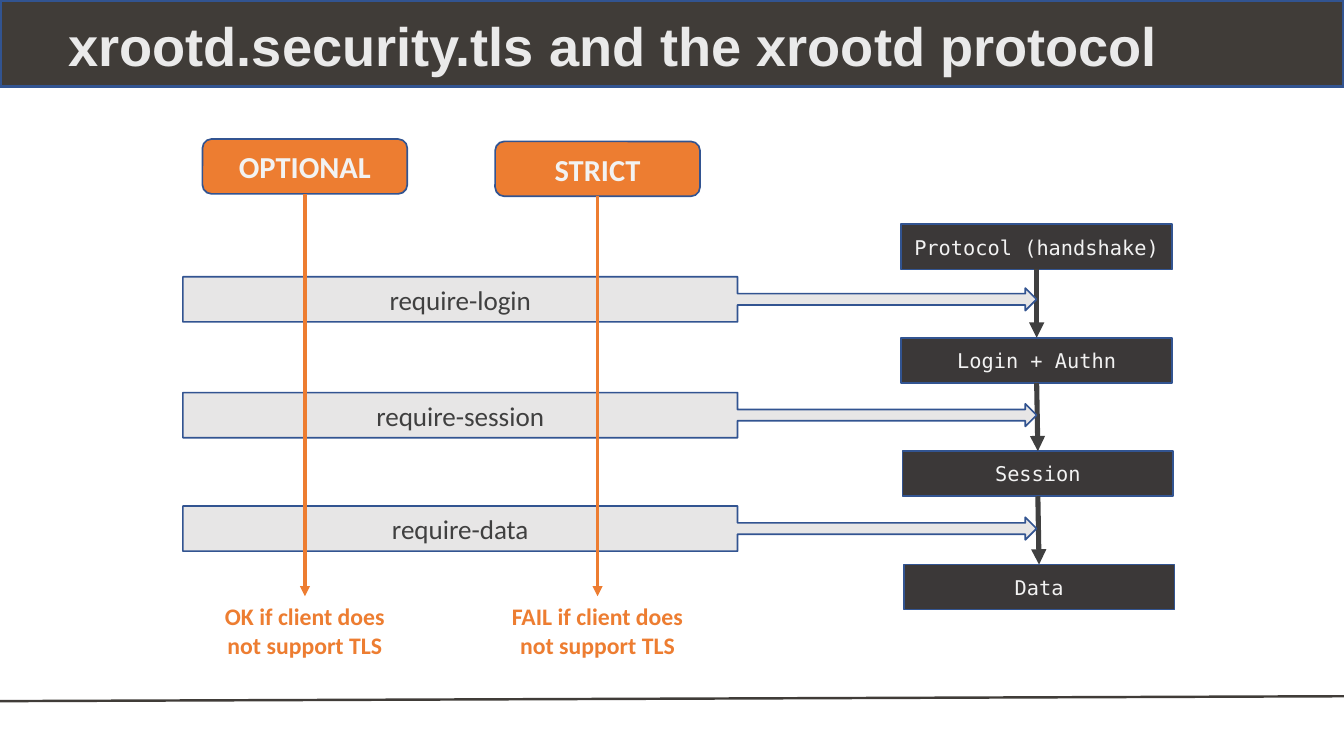
from lxml import etree
from pptx import Presentation
from pptx.dml.color import RGBColor
from pptx.enum.shapes import MSO_CONNECTOR, MSO_SHAPE
from pptx.enum.text import MSO_ANCHOR, PP_ALIGN
from pptx.oxml.ns import qn
from pptx.util import Inches, Pt

RECT = MSO_SHAPE.RECTANGLE
ROUNDED = MSO_SHAPE.ROUNDED_RECTANGLE
CALLOUT = MSO_SHAPE.RIGHT_ARROW_CALLOUT
STRAIGHT = MSO_CONNECTOR.STRAIGHT
LEFT, CENTER = PP_ALIGN.LEFT, PP_ALIGN.CENTER
TOP, MIDDLE = MSO_ANCHOR.TOP, MSO_ANCHOR.MIDDLE

HEADER = RGBColor(0x40, 0x3C, 0x38)
OUTLINE = RGBColor(0x32, 0x54, 0x91)
TITLE_TEXT = RGBColor(0xEA, 0xEA, 0xEA)
ORANGE = RGBColor(0xED, 0x7D, 0x31)
STEP_FILL = RGBColor(0x3B, 0x38, 0x38)
GRAY = RGBColor(0xE7, 0xE6, 0xE6)
DARK = RGBColor(0x40, 0x40, 0x40)
LIGHT_TEXT = RGBColor(0xF2, 0xF2, 0xF2)

TITLE = "xrootd.security.tls and the xrootd protocol"
# name, outcome lines, left, top
POLICIES = [
    ("OPTIONAL", ["OK if client does", "not support TLS"], 1.66, 1.14),
    ("STRICT", ["FAIL if client does", "not support TLS"], 4.06, 1.16),
]
# name, left
STEPS = [("Protocol (handshake)", 7.39), ("Login + Authn", 7.39),
         ("Session", 7.4), ("Data", 7.41)]
# name, top
REQUIREMENTS = [("require-login", 2.27), ("require-session", 3.22),
                ("require-data", 4.15)]

SLIDE_W, SLIDE_H = 11.02, 6.2
POLICY_W, POLICY_H = 1.68, 0.45
OUTCOME_TOP, OUTCOME_H = 4.89, 0.57
STEP_TOP, STEP_PITCH, STEP_W = 1.84, 0.93, 2.22
BAR_H = 0.37
REQUIREMENT_LEFT, REQUIREMENT_W = 1.5, 7

TITLE_FONT = {"name": "Arial", "size": Pt(32), "bold": True}
POLICY_FONT = {"name": "Calibri", "size": Pt(18), "bold": True}
OUTCOME_FONT = {"name": "Calibri", "size": Pt(14), "bold": True}
STEP_FONT = {"name": "DejaVu Sans Mono", "size": Pt(12), "bold": False}
REQUIREMENT_FONT = {"name": "Calibri", "size": Pt(16), "bold": False}

prs = Presentation()
prs.slide_width, prs.slide_height = Inches(SLIDE_W), Inches(SLIDE_H)
slide = prs.slides.add_slide(prs.slide_layouts[6])
shapes = slide.shapes


def write(shape, lines, font, color, align=CENTER, anchor=MIDDLE, inset=0):
    """Fill a shape with one paragraph per line; inset is vertical."""
    frame = shape.text_frame
    layout = {"word_wrap": True, "vertical_anchor": anchor,
              "margin_left": 0, "margin_right": 0,
              "margin_top": Inches(inset), "margin_bottom": Inches(inset)}
    for key, value in layout.items():
        setattr(frame, key, value)
    frame.text = "\n".join(lines)
    for paragraph in frame.paragraphs:
        paragraph.alignment = align
        for key, value in font.items():
            setattr(paragraph.font, key, value)
        paragraph.font.color.rgb = color


def add_box(kind, left, top, width, height, fill, line_width=1):
    box = shapes.add_shape(kind, *map(Inches, (left, top, width, height)))
    box.shadow.inherit = False
    box.fill.solid()
    box.fill.fore_color.rgb = fill
    box.line.color.rgb = OUTLINE
    box.line.width = Pt(line_width)
    return box


def add_text(left, top, width, height):
    return shapes.add_textbox(*map(Inches, (left, top, width, height)))


def add_line(start, end, color, width):
    line = shapes.add_connector(STRAIGHT, *map(Inches, start + end))
    line.line.color.rgb = color
    line.line.width = Pt(width)
    etree.SubElement(line._element.spPr, qn("a:effectLst"))
    return line


def add_arrow(upper, lower, color, width):
    """Arrow from the bottom of one shape to the top of another."""
    arrow = add_line((0, 0), (0, 0), color, width)
    arrow.begin_connect(upper, 2)
    arrow.end_connect(lower, 0)
    etree.SubElement(arrow.line._get_or_add_ln(), qn("a:tailEnd"), type="triangle")


add_box(RECT, 0, 0, SLIDE_W, 0.71, HEADER, 2)
add_line((SLIDE_W, 5.71), (0, 5.75), HEADER, 1.45)
write(add_text(0.56, 0.07, 9.39, 0.6), [TITLE], TITLE_FONT, TITLE_TEXT, LEFT)

step_boxes = []
for row, (name, left) in enumerate(STEPS):
    step = add_box(RECT, left, STEP_TOP + row * STEP_PITCH, STEP_W, BAR_H, STEP_FILL)
    write(step, [name], STEP_FONT, LIGHT_TEXT)
    step_boxes.append(step)
for upper, lower in zip(step_boxes, step_boxes[1:]):
    add_arrow(upper, lower, DARK, 3)

for name, top in REQUIREMENTS:
    requirement = add_box(CALLOUT, REQUIREMENT_LEFT, top, REQUIREMENT_W, BAR_H, GRAY)
    write(requirement, [name], REQUIREMENT_FONT, DARK)

for name, outcome_lines, left, top in POLICIES:
    policy = add_box(ROUNDED, left, top, POLICY_W, POLICY_H, ORANGE)
    write(policy, [name], POLICY_FONT, LIGHT_TEXT)
    outcome = add_text(left, OUTCOME_TOP, POLICY_W, OUTCOME_H)
    write(outcome, outcome_lines, OUTCOME_FONT, ORANGE, anchor=TOP, inset=0.05)
    add_arrow(policy, outcome, ORANGE, 2)

prs.save("out.pptx")
